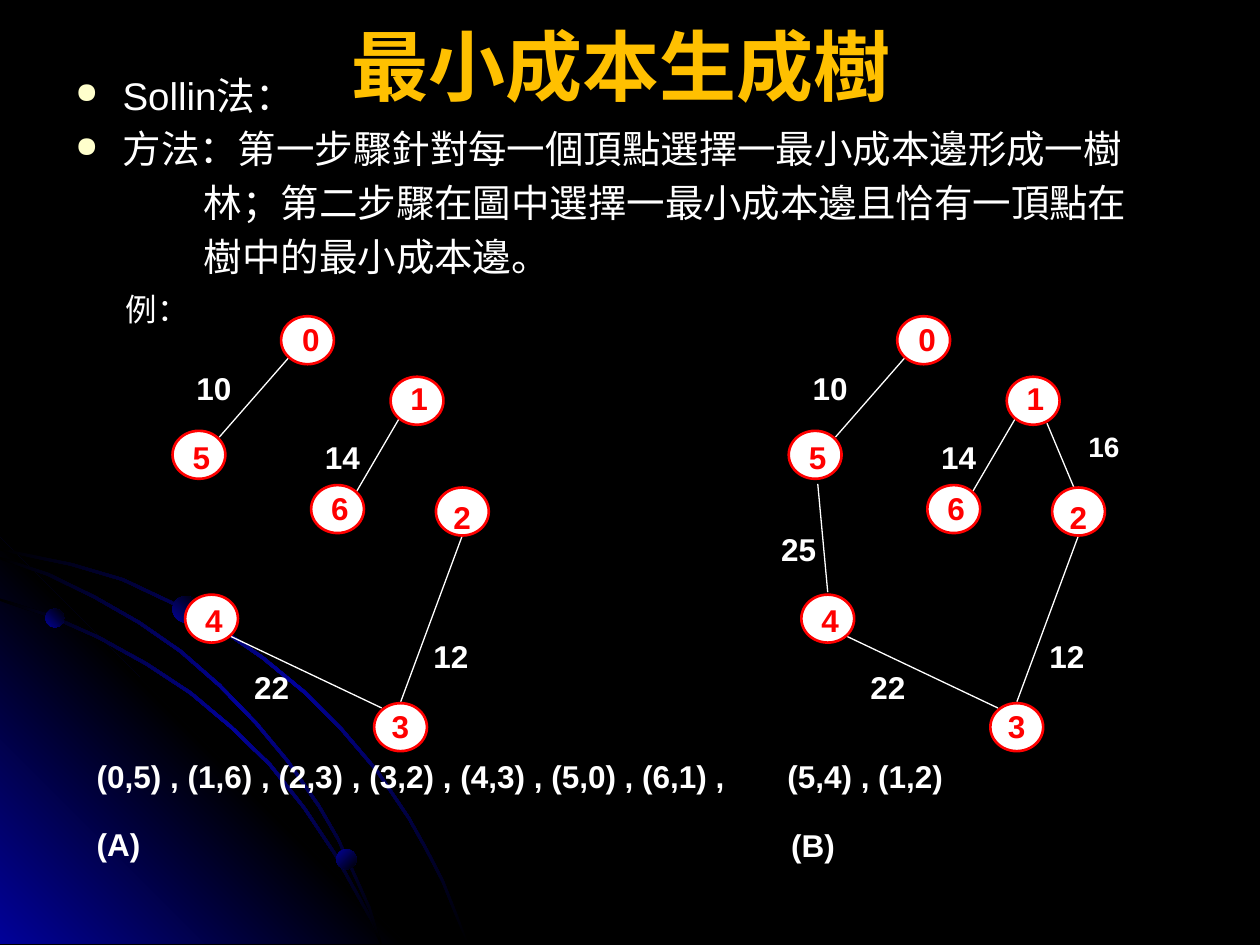
"""Build the Sollin minimum cost spanning tree slide."""
from dataclasses import dataclass

from lxml.etree import SubElement
from pptx import Presentation
from pptx.dml.color import RGBColor
from pptx.enum.shapes import MSO_CONNECTOR, MSO_SHAPE
from pptx.enum.text import MSO_ANCHOR, MSO_AUTO_SIZE, PP_ALIGN
from pptx.oxml.ns import qn
from pptx.util import Pt


@dataclass(frozen=True)
class Theme:
    font: str = "Arial"
    back: str = "000000"
    glow: str = "010199"
    ink: str = "FFFFFF"
    accent: str = "FF0000"
    title: str = "FFC000"
    bullet: str = "FFFFCC"
    title_size: int = 44
    body_size: int = 22
    label_size: int = 18
    small_size: int = 16


@dataclass(frozen=True)
class Node:
    label: str
    x: float
    y: float
    label_x: float
    label_y: float


@dataclass(frozen=True)
class Edge:
    x1: float
    y1: float
    x2: float
    y2: float
    cost: str
    label_x: float
    label_y: float
    size: int = 18


@dataclass(frozen=True)
class Caption:
    text: str
    x: float
    y: float
    width: float
    bold: bool = True


@dataclass(frozen=True)
class Orb:
    x: float
    y: float
    size: float
    angle: int


@dataclass(frozen=True)
class BodyLine:
    text: str
    margin: float
    bullet: bool


T = Theme()
W, H = 720, 540
NODE_W, NODE_H, LABEL_H = 30.2, 27.4, 28.8
TREE_GAP = 352.1
NODES = [
    Node("0", 160.6, 180.7, 165.6, 179.3),
    Node("1", 223.2, 215.3, 227.5, 213.1),
    Node("2", 249.1, 278.6, 252, 280.8),
    Node("3", 213.8, 401.8, 216.7, 400.3),
    Node("4", 105.8, 339.8, 110.2, 339.8),
    Node("5", 98.6, 246.2, 103, 247),
    Node("6", 177.8, 277.2, 182.2, 275.8),
]
FOREST = [
    Edge(164.9, 204.5, 125.3, 249.8, "10", 105.1, 207.4),
    Edge(131.8, 363.6, 218.2, 404.6, "22", 138.2, 378),
    Edge(264.2, 306, 229, 401, "12", 240.5, 360.7),
    Edge(228.2, 239, 203.8, 280.8, "14", 178.6, 247),
]
JOINS = [
    Edge(115.2, 276.5, 120.9, 338.4, "25", 87.1, 299.5),
    Edge(246.2, 241.9, 262.8, 281.5, "16", 262.8, 241.9, T.small_size),
]
CAPTIONS = [
    Caption("例：", 64.8, 162.4, 50.4, False),
    Caption("(0,5) , (1,6) , (2,3) , (3,2) , (4,3) , (5,0) , (6,1) ,", 48.2, 428.8, 373.5),
    Caption("(5,4) , (1,2)", 442.8, 428.8, 103.5),
    Caption("(A)", 48.2, 468, 39.6),
    Caption("(B)", 445, 468.7, 39.6),
]
BODY = [
    BodyLine("Sollin法：", 27, True),
    BodyLine("方法：第一步驟針對每一個頂點選擇一最小成本邊形成一樹", 27, True),
    BodyLine("林；第二步驟在圖中選擇一最小成本邊且恰有一頂點在", 73.5, False),
    BodyLine("樹中的最小成本邊。", 73.5, False),
]
ARCS = [
    [(0, 313.2), (20.2, 317.5), (41, 321.8), (70.6, 330.5), (97.9, 343.4),
     (125.3, 357.8), (150.5, 375.1), (174.2, 394.6), (195.8, 416.2), (216, 439.9),
     (234, 466.6), (244.1, 484.6), (253.4, 502.6), (260.6, 520.6), (267.8, 539.3)],
    [(0, 342), (29.5, 351.4), (56.9, 363.6), (84.2, 378.7), (109.4, 395.3),
     (132.5, 414.7), (154.8, 436.3), (174.2, 460.8), (191.5, 486.7),
     (205.9, 512.6), (213.1, 525.6), (218.2, 539.3)],
    [(0, 318.2), (28.1, 327.6), (54.7, 340.6), (79.9, 355), (103.7, 371.5),
     (126, 391), (146.9, 412.6), (164.9, 434.2), (182.9, 460.1), (193.7, 478.8),
     (203, 499), (211.7, 518.4), (218.2, 539.3)],
]
GLOW = [(0, 307.4), (231.8, 539.3), (0, 539.3)]
ORBS = [Orb(25.9, 347.8, 10.8, 315), Orb(192.2, 485.3, 11.5, 45), Orb(98.6, 340.6, 15.1, 315)]


def rgb(color: str) -> RGBColor:
    return RGBColor.from_string(color)


def style(p, size: float, color: str, bold: bool = False) -> None:
    for r in p.runs:
        r.font.name, r.font.size, r.font.bold = T.font, Pt(size), bold
        r.font.color.rgb = rgb(color)


def add_gradient(sp, colors: list[str], angle: int) -> None:
    sp.shadow.inherit = False
    sp.line.fill.background()
    sp.fill.gradient()
    grad = sp._element.spPr.find(qn("a:gradFill"))
    stops = grad.find(qn("a:gsLst"))
    stops.clear()
    for i, color in enumerate(colors):
        gs = SubElement(stops, qn("a:gs"), pos=str(100000 * i // (len(colors) - 1)))
        SubElement(gs, qn("a:srgbClr"), val=color)
    grad.find(qn("a:lin")).set("ang", str(angle * 60000))


def add_outline(shapes, points: list[tuple[float, float]], colors: list[str], angle: int) -> None:
    tenths = [(round(x * 10), round(y * 10)) for x, y in points]
    fb = shapes.build_freeform(*tenths[0], scale=Pt(0.1))
    fb.add_line_segments(tenths[1:], close=True)
    add_gradient(fb.convert_to_shape(), colors, angle)


def add_backdrop(shapes) -> None:
    add_outline(shapes, GLOW, [T.glow, T.back, T.glow], 315)
    for arc in ARCS:
        inner = [(max(0, x - 1), min(y + 1.4, 539.3)) for x, y in reversed(arc)]
        add_outline(shapes, arc + inner, [T.back, T.glow, T.back], 45)
    for o in ORBS:
        sp = shapes.add_shape(MSO_SHAPE.OVAL, Pt(o.x), Pt(o.y), Pt(o.size), Pt(o.size))
        add_gradient(sp, [T.glow, T.back], o.angle)


def add_label(shapes, text: str, x: float, y: float, width: float,
              size: float = T.label_size, color: str = T.ink, bold: bool = True) -> None:
    tf = shapes.add_textbox(Pt(x), Pt(y), Pt(width), Pt(LABEL_H * size / T.label_size)).text_frame
    tf.word_wrap, tf.auto_size = False, MSO_AUTO_SIZE.SHAPE_TO_FIT_TEXT
    tf.text = text
    style(tf.paragraphs[0], size, color, bold)


def add_tree(s, edges: list[Edge], dx: float) -> None:
    shapes = s.shapes.add_group_shape().shapes
    for e in edges:
        c = shapes.add_connector(MSO_CONNECTOR.STRAIGHT, Pt(e.x1 + dx), Pt(e.y1), Pt(e.x2 + dx), Pt(e.y2))
        c.line.color.rgb, c.line.width = rgb(T.ink), Pt(0.75)
        SubElement(c._element.spPr, qn("a:effectLst"))
        add_label(shapes, e.cost, e.label_x + dx, e.label_y, 14.4 + 1.12 * e.size, e.size)
    for n in NODES:
        sp = shapes.add_shape(MSO_SHAPE.OVAL, Pt(n.x + dx), Pt(n.y), Pt(NODE_W), Pt(NODE_H))
        sp.shadow.inherit = False
        sp.fill.solid()
        sp.fill.fore_color.rgb = rgb(T.ink)
        sp.line.color.rgb, sp.line.width = rgb(T.accent), Pt(1.5)
        add_label(shapes, n.label, n.label_x + dx, n.label_y, 24.5, color=T.accent)


def add_body(s) -> None:
    tf = s.shapes.add_textbox(Pt(36), Pt(37.4), Pt(648), Pt(130.3)).text_frame
    tf.word_wrap = True
    for i, line in enumerate(BODY):
        p = tf.add_paragraph() if i else tf.paragraphs[0]
        p.text = line.text
        pPr = p._p.get_or_add_pPr()
        pPr.set("marL", str(Pt(line.margin)))
        pPr.set("indent", str(Pt(-27 if line.bullet else 0)))
        if line.bullet:
            SubElement(SubElement(pPr, qn("a:buClr")), qn("a:srgbClr"), val=T.bullet)
            SubElement(pPr, qn("a:buSzPct"), val="75000")
            SubElement(pPr, qn("a:buChar"), char="●")
        if i:
            p.space_before = Pt(4.4)
        style(p, T.body_size, T.ink)


def add_title(s) -> None:
    sp = s.shapes.title
    sp.left, sp.top, sp.width, sp.height = Pt(36), Pt(-7.9), Pt(648), Pt(90)
    tf = sp.text_frame
    tf.text, tf.vertical_anchor = "最小成本生成樹 ", MSO_ANCHOR.MIDDLE
    tf.paragraphs[0].alignment = PP_ALIGN.CENTER
    style(tf.paragraphs[0], T.title_size, T.title, True)


def main() -> None:
    prs = Presentation()
    prs.slide_width, prs.slide_height = Pt(W), Pt(H)
    s = prs.slides.add_slide(prs.slide_layouts[5])
    s.background.fill.solid()
    s.background.fill.fore_color.rgb = rgb(T.back)
    add_backdrop(s.shapes.add_group_shape().shapes)
    add_title(s)
    add_body(s)
    for c in CAPTIONS:
        add_label(s.shapes, c.text, c.x, c.y, c.width, bold=c.bold)
    add_tree(s, FOREST, 0)
    add_tree(s, FOREST + JOINS, TREE_GAP)
    prs.save("out.pptx")


if __name__ == "__main__":
    main()
